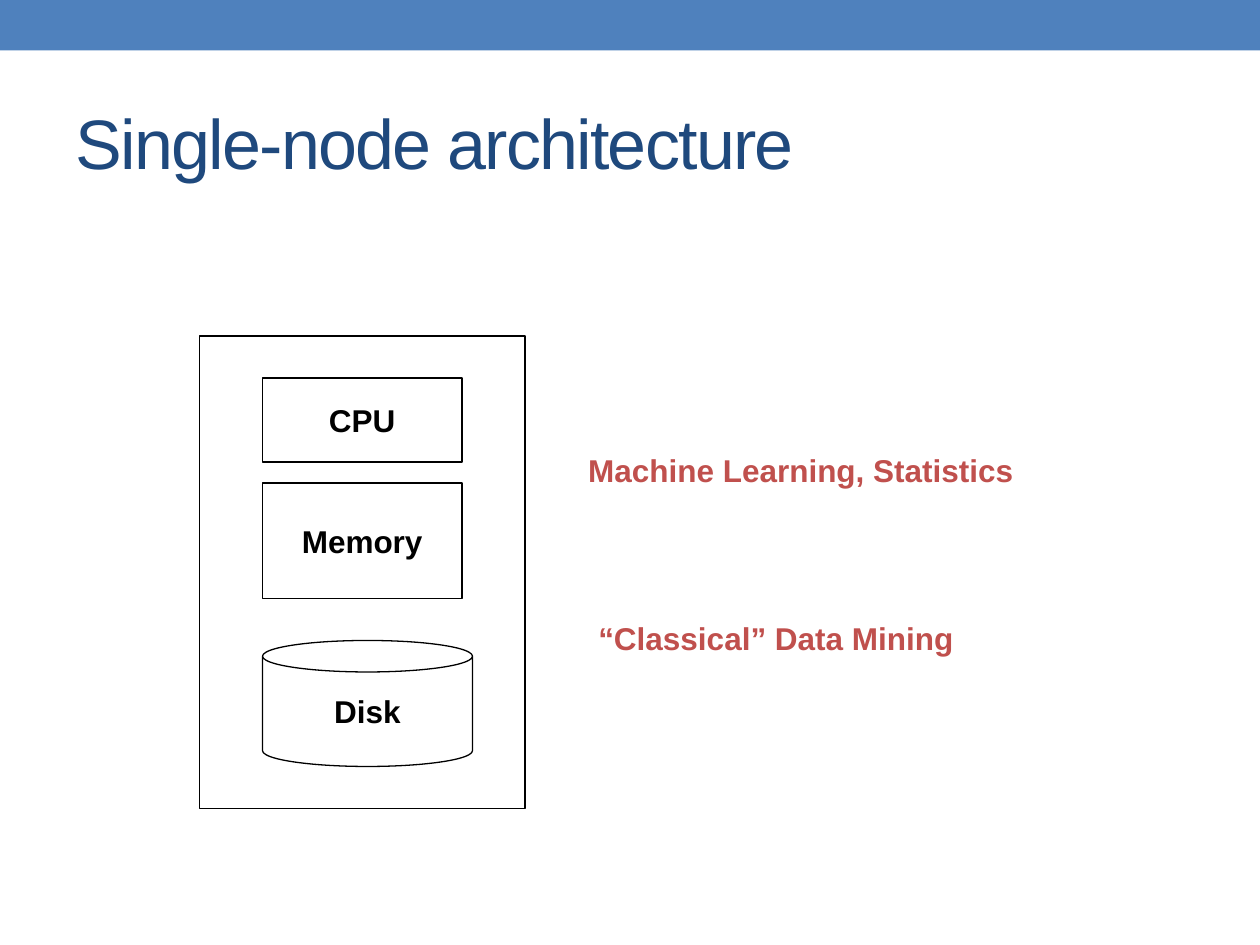
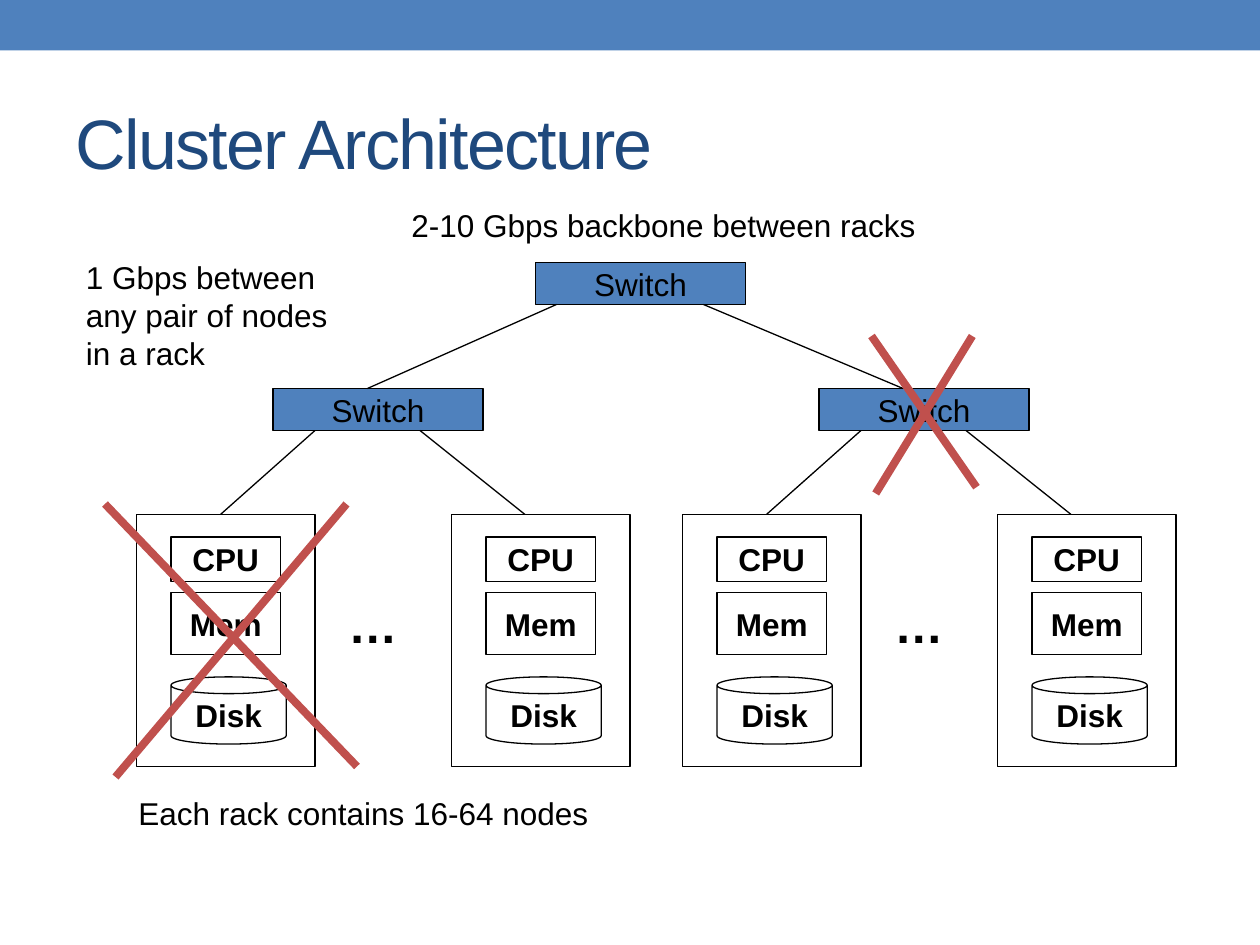
"""Build two slides on single-node and cluster architecture."""
from pptx import Presentation
from pptx import util as u
from pptx.dml.color import RGBColor
from pptx.enum import shapes, text
from pptx.oxml.ns import qn
from lxml import etree

FONT = "Arial"
BLACK, BLUE, NAVY, RED = "000000", "4F81BD", "1F497D", "C0504D"
RECT, CAN = shapes.MSO_SHAPE.RECTANGLE, shapes.MSO_SHAPE.CAN

deck = Presentation()
deck.slide_width, deck.slide_height = u.Inches(10), u.Inches(7.5)
COLUMN, ROW = deck.slide_width / 120, deck.slide_height / 90


def add_box(target, label, place, kind=None, fill=None, line=BLACK, color=BLACK, size=18, bold=False):
    """Add a preset shape, or a text box when no kind is given, on the grid."""
    left, top, width, height = place
    frame = [round(n) for n in (left * COLUMN, top * ROW, width * COLUMN, height * ROW)]
    if kind is None:
        box = target.add_textbox(*frame)
        box.text_frame.auto_size = text.MSO_AUTO_SIZE.SHAPE_TO_FIT_TEXT
    else:
        box = target.add_shape(kind, *frame)
        box.shadow.inherit = False
        box.text_frame.vertical_anchor = text.MSO_ANCHOR.MIDDLE
        if fill:
            box.fill.solid()
            box.fill.fore_color.rgb = RGBColor.from_string(fill)
        else:
            box.fill.background()
        if line:
            box.line.color.rgb = RGBColor.from_string(line)
            box.line.width = u.Pt(0.75)
        else:
            box.line.fill.background()
    box.text_frame.word_wrap = False
    box.text_frame.text = label
    for para in box.text_frame.paragraphs:
        para.alignment = text.PP_ALIGN.CENTER if kind else text.PP_ALIGN.LEFT
        para.font.name, para.font.size, para.font.bold = FONT, u.Pt(size), bold
        para.font.color.rgb = RGBColor.from_string(color)
    return box


def add_line(target, start, end, color=BLACK, width=0.75):
    """Join two grid points with a straight line."""
    points = [round(n) for n in (start[0] * COLUMN, start[1] * ROW, end[0] * COLUMN, end[1] * ROW)]
    line = target.add_connector(shapes.MSO_CONNECTOR.STRAIGHT, *points)
    line.line.color.rgb = RGBColor.from_string(color)
    line.line.width = u.Pt(width)
    etree.SubElement(line.element.spPr, qn("a:effectLst"))


pages = []
for heading in ("Single-node architecture", "Cluster Architecture"):
    page = deck.slides.add_slide(deck.slide_layouts.get_by_name("Title Only"))
    title = page.shapes.title
    title.left, title.top = round(6 * COLUMN), round(7 * ROW)
    title.width, title.height = round(108 * COLUMN), round(13 * ROW)
    title.text_frame.text = heading
    title.text_frame.vertical_anchor = text.MSO_ANCHOR.MIDDLE
    para = title.text_frame.paragraphs[0]
    para.alignment = text.PP_ALIGN.LEFT
    para.font.name, para.font.size = FONT, u.Pt(40)
    para.font.color.rgb = RGBColor.from_string(NAVY)
    para.runs[0].font._element.set("spc", "-100")
    pages.append(page)
single, cluster = pages

band = add_box(single.shapes, "", (0, 0, 120, 4.8), RECT, BLUE, line=None)
deck.slide_master.shapes.element.insert(2, band.element)

NODE_COLUMNS, NODE_ROWS = 31, 45
nodes = [(single, "Memory", 19, 32, 31, 45)]
nodes += [(cluster, "Mem", left, 49, 17, 24) for left in (13, 43, 65, 95)]
for page, memory, left, top, width, height in nodes:
    node = page.shapes.add_group_shape().shapes
    across, down = width / NODE_COLUMNS, height / NODE_ROWS
    for label, kind, x, y, w, h in (
        (memory, RECT, 6, 14, 19, 11),
        ("Disk", CAN, 6, 29, 20, 12),
        ("CPU", RECT, 6, 4, 19, 8),
        ("", RECT, 0, 0, NODE_COLUMNS, NODE_ROWS),
    ):
        place = (left + x * across, top + y * down, w * across, h * down)
        add_box(node, label, place, kind, bold=True)

add_box(single.shapes, "Machine Learning, Statistics", (54.84, 42.4, 49.8, 4.8), color=RED, bold=True)
add_box(single.shapes, "“Classical” Data Mining", (55.8, 58.4, 41.8, 4.8), color=RED, bold=True)

for rack in (13, 65):
    add_box(cluster.shapes, "…", (rack + 19, 56, 7.3, 6.8), size=28, bold=True)
    add_box(cluster.shapes, "Switch", (rack + 13, 37, 20, 4), RECT, BLUE)
    add_line(cluster.shapes, (rack + 17, 41), (rack + 8, 49))
    add_line(cluster.shapes, (rack + 27, 41), (rack + 37, 49))

add_box(cluster.shapes, "Switch", (51, 25, 20, 4), RECT, BLUE)
add_line(cluster.shapes, (35, 37), (53, 29))
add_line(cluster.shapes, (67, 29), (86, 37))

for label, place in (
    ("Each rack contains 16-64 nodes", (12, 75, 50.8, 4.8)),
    ("1 Gbps between\nany pair of nodes\nin a rack", (7, 24, 28.7, 12)),
    ("2-10 Gbps backbone between racks", (38, 19, 56.5, 4.8)),
):
    add_box(cluster.shapes, label, place)

for strokes in (
    (((10, 48), (34, 73)), ((33, 48), (11, 74))),
    (((83, 32), (93, 46.4)), ((92.6, 32), (83.4, 47))),
):
    cross = cluster.shapes.add_group_shape().shapes
    for start, end in strokes:
        add_line(cross, start, end, RED, 4.5)

deck.save("out.pptx")
